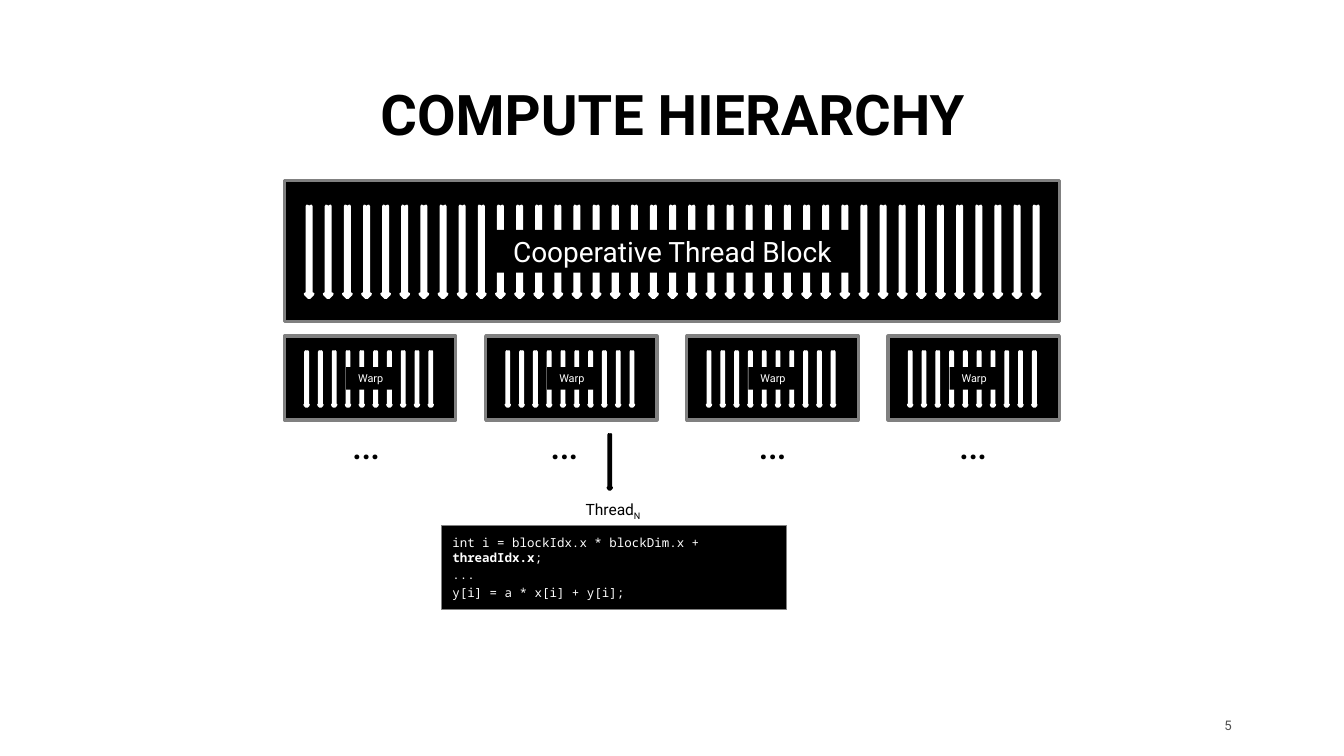
from pptx import Presentation
from pptx.dml.color import RGBColor
from pptx.enum.shapes import MSO_SHAPE
from pptx.enum.text import MSO_ANCHOR, PP_ALIGN
from pptx.util import Pt

RECTANGLE = MSO_SHAPE.RECTANGLE
THREAD_ARROW = MSO_SHAPE.NOTCHED_RIGHT_ARROW
TOP, MIDDLE, BOTTOM = MSO_ANCHOR.TOP, MSO_ANCHOR.MIDDLE, MSO_ANCHOR.BOTTOM
LEFT, CENTER, RIGHT = PP_ALIGN.LEFT, PP_ALIGN.CENTER, PP_ALIGN.RIGHT

COLORS = {"black": "000000", "white": "FFFFFF", "border": "808080", "number": "505050"}
SANS, MONO = "Roboto", "Noto Sans Mono"
DEFAULT_INSETS = (7.2, 3.6)


def rgb(name):
    return RGBColor.from_string(COLORS[name])


def add_shape(shapes, kind, box, fill, line=None, line_width=2):
    shape = shapes.add_shape(kind, *(Pt(value) for value in box))
    shape.shadow.inherit = False
    shape.fill.solid()
    shape.fill.fore_color.rgb = rgb(fill)
    if line:
        shape.line.color.rgb = rgb(line)
        shape.line.width = Pt(line_width)
    else:
        shape.line.fill.background()
    return shape


def set_frame(shape, anchor, insets=DEFAULT_INSETS, wrap=True):
    frame = shape.text_frame
    frame.word_wrap = wrap
    frame.vertical_anchor = anchor
    frame.margin_left = frame.margin_right = Pt(insets[0])
    frame.margin_top = frame.margin_bottom = Pt(insets[1])
    return frame


def add_run(paragraph, text, size, color, font=SANS, bold=False):
    run = paragraph.add_run()
    run.text = text
    run.font.name = font
    run.font.size = Pt(size)
    run.font.bold = bold
    run.font.color.rgb = rgb(color)
    return run


def add_text(slide, box, text, size, color="black", align=LEFT, anchor=TOP,
             bold=False, insets=DEFAULT_INSETS):
    text_box = slide.shapes.add_textbox(*(Pt(value) for value in box))
    paragraph = set_frame(text_box, anchor, insets).paragraphs[0]
    paragraph.alignment = align
    add_run(paragraph, text, size, color, bold=bold)
    return paragraph


def add_thread(shapes, center_x, center_y, length, thickness, color):
    """Downward arrow, drawn pointing right and turned about its centre."""
    box = (center_x - length / 2, center_y - thickness / 2, length, thickness)
    add_shape(shapes, THREAD_ARROW, box, color, color).rotation = 90


def add_thread_group(slide, box, count, first, step, length, thickness,
                     label, label_size, font_size):
    """Bordered box with a row of threads and a label over their middle."""
    left, top, width, height = box
    shapes = slide.shapes.add_group_shape().shapes
    add_shape(shapes, RECTANGLE, box, "black", "border")
    center_y = top + height / 2 + 0.7
    for index in range(count):
        add_thread(shapes, left + first + index * step, center_y,
                   length, thickness, "white")

    label_width, label_height = label_size
    label_box = (left + (width - label_width) / 2 + 0.3,
                 top + (height - label_height) / 2 + 0.3, label_width, label_height)
    label_shape = add_shape(shapes, RECTANGLE, label_box, "black")
    paragraph = set_frame(label_shape, MIDDLE, (0, 0)).paragraphs[0]
    paragraph.alignment = CENTER
    add_run(paragraph, label, font_size, "white")


def add_warps(slide, box, count):
    """Equal warps across the box, each with its ellipsis below."""
    left, top, width, height = box
    warp_width = 110.2
    step = (width - warp_width) / (count - 1)
    ellipsis_lefts = (218.9, 346.3, 480.2, 609.1)
    for index, ellipsis_left in enumerate(ellipsis_lefts):
        add_thread_group(slide, (left + index * step, top, warp_width, height),
                         10, 14.2, 8.87, 35.3, 2.2, "Warp", (31.7, 14.4), 7)
        add_text(slide, (ellipsis_left, top + 48.2, 45, 41), "…", 28)


def add_thread_code(slide, box):
    """Single thread, its name and the code it runs."""
    left, top, width, height = box
    add_thread(slide.shapes, left + 108.3, top - 40.7, 35.3, 2.2, "black")
    name = add_text(slide, (left + 85.7, top - 19.5, 54, 19.4), "Thread", 10)
    subscript = add_run(name, "N", 10, "black")
    subscript.font._element.set("baseline", "-25000")

    code_box = add_shape(slide.shapes, RECTANGLE, box, "black", "border", 0.75)
    frame = set_frame(code_box, MIDDLE)
    code_lines = (
        (("int i = blockIdx.x * blockDim.x + ", False), ("threadIdx.x", True), (";", False)),
        (("...", False),),
        (("y[i] = a * x[i] + y[i];", False),),
    )
    for index, code_line in enumerate(code_lines):
        paragraph = frame.add_paragraph() if index else frame.paragraphs[0]
        paragraph.alignment = LEFT
        paragraph.space_before = Pt(1.6 if index else 0)
        for text, bold in code_line:
            add_run(paragraph, text, 8, "white", MONO, bold)


def main():
    presentation = Presentation()
    presentation.slide_width, presentation.slide_height = Pt(864), Pt(486)
    slide = presentation.slides.add_slide(presentation.slide_layouts[6])

    # Title and page number
    title = add_text(slide, (39.6, 51.8, 785.5, 46.8), "COMPUTE HIERARCHY", 36,
                     align=CENTER, anchor=BOTTOM, bold=True)
    title.line_spacing = 0.9
    add_text(slide, (766.6, 460, 25.2, 13), "5", 8.5, "number", RIGHT, MIDDLE,
             insets=(0, 0))

    # Hierarchy from block to warps to one thread
    add_thread_group(slide, (182.9, 115.9, 498.2, 90.7), 39, 15.8, 12.3, 59, 5,
                     "Cooperative Thread Block", (226.8, 27.4), 18)
    add_warps(slide, (182.9, 216, 498.2, 54), 4)
    add_thread_code(slide, (283.7, 337.7, 221.8, 54))

    presentation.save("out.pptx")


if __name__ == "__main__":
    main()
